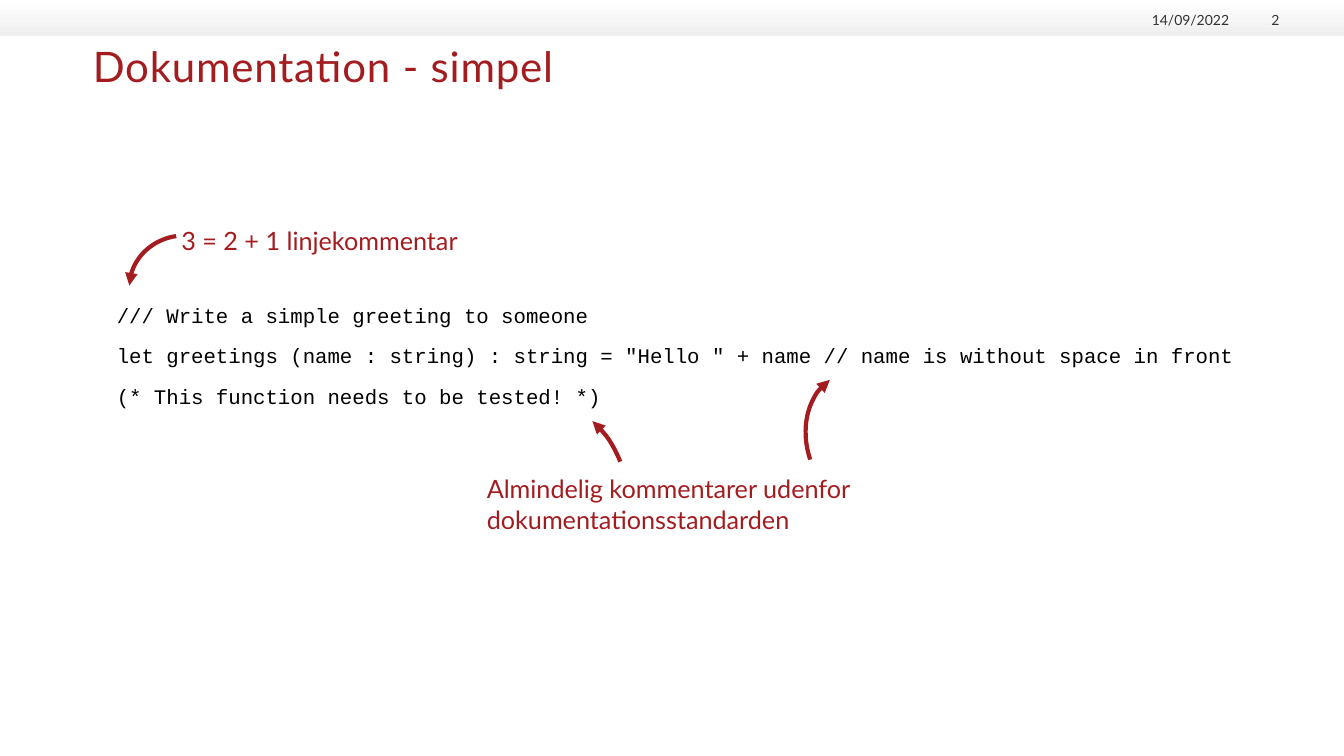
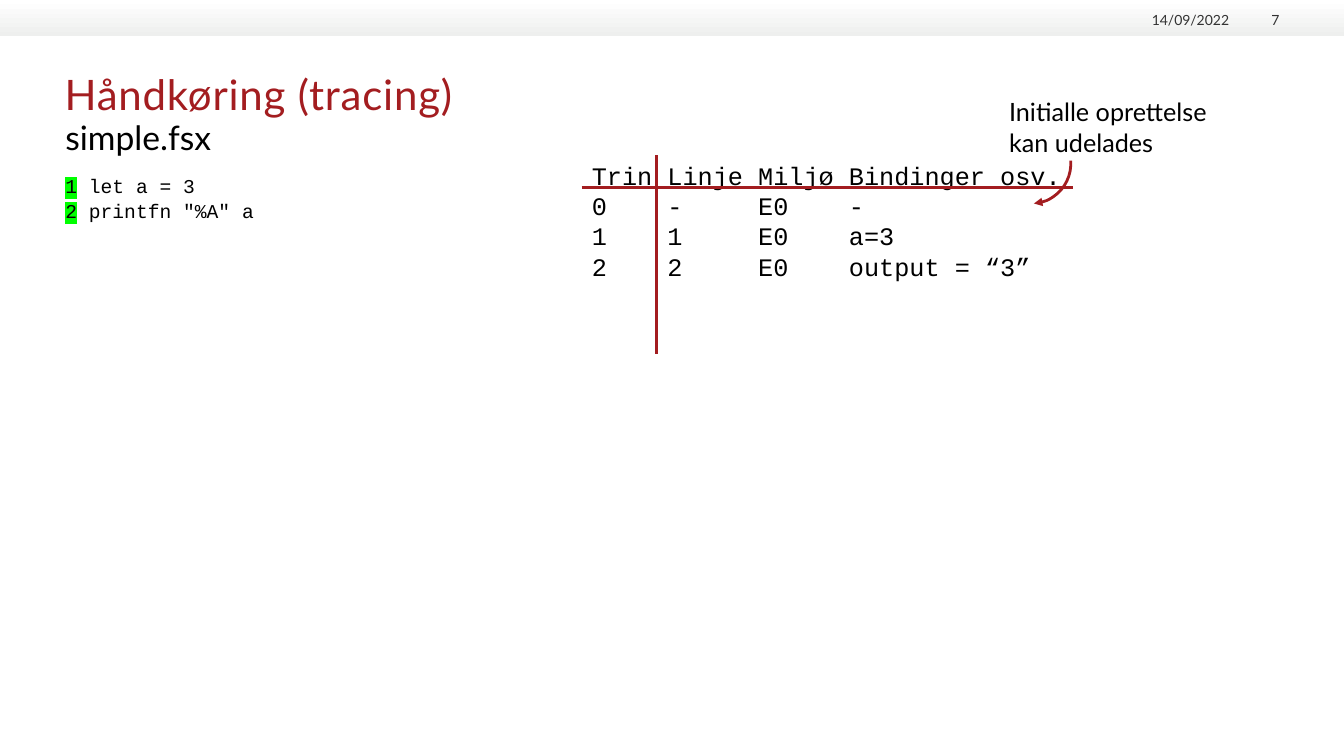
from lxml import etree
from pptx import Presentation
from pptx.dml.color import RGBColor
from pptx.enum.shapes import MSO_CONNECTOR, MSO_SHAPE
from pptx.enum.text import MSO_ANCHOR, MSO_AUTO_SIZE, PP_ALIGN
from pptx.oxml.ns import qn
from pptx.util import Inches, Pt

ARC, RECT = MSO_SHAPE.ARC, MSO_SHAPE.RECTANGLE
STRAIGHT = MSO_CONNECTOR.STRAIGHT
TOP, BOTTOM = MSO_ANCHOR.TOP, MSO_ANCHOR.BOTTOM
LEFT, RIGHT = PP_ALIGN.LEFT, PP_ALIGN.RIGHT
NO_AUTOFIT = MSO_AUTO_SIZE.NONE

RED = RGBColor(0xA3, 0x1D, 0x20)
BLACK = RGBColor(0, 0, 0)
WHITE = RGBColor(0xFF, 0xFF, 0xFF)
BAND_GREY = RGBColor(0xEE, 0xEF, 0xEE)
FOOTER_GREY = RGBColor(0x33, 0x33, 0x33)
HIGHLIGHT = "00FF00"
SANS, MONO = "Lato", "Courier New"
MONO_SPACING = 1.06
NO_TABLE_STYLE = "{2D5ABB26-0587-4C30-8999-92F81FD0307C}"
DATE = "14/09/2022"


def add_run(p, text, size, color=BLACK, font=SANS):
    """Append a formatted run to a paragraph."""
    r = p.add_run()
    r.text = text
    r.font.size = Pt(size)
    r.font.color.rgb = color
    r.font.name = font
    return r


def highlight(r):
    """Mark a run with the highlight colour."""
    mark = etree.Element(qn("a:highlight"))
    etree.SubElement(mark, qn("a:srgbClr"), val=HIGHLIGHT)
    r.font._element.find(qn("a:latin")).addprevious(mark)


def clear_margins(box):
    """Set the margins of a text frame or table cell to zero."""
    box.margin_left = box.margin_top = box.margin_right = box.margin_bottom = 0


def add_box(s, left, top, width, height):
    """Add an empty wrapping text box and return its text frame."""
    tf = s.shapes.add_textbox(Inches(left), Inches(top), Inches(width), Inches(height)).text_frame
    tf.word_wrap = True
    return tf


def add_label(s, left, top, width, height, text, size=18, color=RED):
    """Add a one-paragraph text box."""
    add_run(add_box(s, left, top, width, height).paragraphs[0], text, size, color)


def add_header_text(s, left, width, text):
    """Add a small right-aligned text in the top band."""
    tf = add_box(s, left, 0.09, width, 0.19)
    clear_margins(tf)
    tf.vertical_anchor = BOTTOM
    p = tf.paragraphs[0]
    p.alignment = RIGHT
    add_run(p, text, 10, FOOTER_GREY)


def add_code(s, left, top, width, height, lines, size, gap=0):
    """Add code lines, each a list of (text, highlighted) pairs."""
    tf = add_box(s, left, top, width, height)
    for i, line in enumerate(lines):
        p = tf.add_paragraph() if i else tf.paragraphs[0]
        p.line_spacing = MONO_SPACING
        if i:
            p.space_before = Pt(gap)
        for text, marked in line:
            r = add_run(p, text, size, font=MONO)
            if marked:
                highlight(r)


def add_arc(s, left, top, width, height, rotation, weight, adjustments=(), end="tailEnd", flip=False):
    """Add a curved arrow with its head at the given line end."""
    sp = s.shapes.add_shape(ARC, Inches(left), Inches(top), Inches(width), Inches(height))
    sp.shadow.inherit = False
    sp.fill.background()
    sp.line.color.rgb = RED
    sp.line.width = Pt(weight)
    sp.rotation = rotation
    for i, value in enumerate(adjustments):
        sp.adjustments[i] = value
    if flip:
        sp._element.spPr.get_or_add_xfrm().set("flipH", "1")
    etree.SubElement(sp.line._get_or_add_ln(), qn("a:" + end), type="triangle")


def add_rule(s, x1, y1, x2, y2):
    """Add a straight red line."""
    line = s.shapes.add_connector(STRAIGHT, Inches(x1), Inches(y1), Inches(x2), Inches(y2))
    line.line.color.rgb = RED
    line.line.width = Pt(2)
    etree.SubElement(line._element.spPr, qn("a:effectLst"))


def add_trace_table(s, left, top, widths, row_height, rows):
    """Add an unstyled monospaced table."""
    table = s.shapes.add_table(len(rows), len(widths), Inches(left), Inches(top),
                               Inches(sum(widths)), Inches(row_height * len(rows))).table
    table.first_row = table.horz_banding = False
    table._tbl.tblPr.find(qn("a:tableStyleId")).text = NO_TABLE_STYLE
    for column, width in zip(table.columns, widths):
        column.width = Inches(width)
    for i, row in enumerate(rows):
        table.rows[i].height = Inches(row_height)
        for j, text in enumerate(row):
            cell = table.cell(i, j)
            clear_margins(cell)
            cell.fill.background()
            add_run(cell.text_frame.paragraphs[0], text, 18, font=MONO)


def add_band(prs, s, layout):
    """Put the gradient top band on the layout."""
    band = s.shapes.add_shape(RECT, 0, 0, prs.slide_width, Inches(0.36))
    band.shadow.inherit = False
    band.line.fill.background()
    band.fill.gradient()
    band.fill.gradient_angle = 270
    for stop, color in zip(band.fill.gradient_stops, (WHITE, BAND_GREY)):
        stop.color.rgb = color
    layout.shapes._spTree.insert(2, band._element)


def add_slide(prs, layout, number, title, left, top, width, height):
    """Add a slide with its title, date and number."""
    s = prs.slides.add_slide(layout)
    sp = s.shapes.title
    sp.left, sp.top, sp.width, sp.height = map(Inches, (left, top, width, height))
    tf = sp.text_frame
    clear_margins(tf)
    tf.vertical_anchor = TOP
    tf.auto_size = NO_AUTOFIT
    p = tf.paragraphs[0]
    p.alignment = LEFT
    r = add_run(p, title, 30, RED)
    r.font._element.set("spc", "60")
    add_header_text(s, 11.3, 0.89, DATE)
    add_header_text(s, 12.27, 0.42, str(number))
    return s


def build_documentation(prs, layout):
    """Build the slide on simple documentation comments."""
    s = add_slide(prs, layout, 2, "Dokumentation - simpel", 0.92, 0.4, 11.5, 1.45)
    lines = ["/// Write a simple greeting to someone",
             'let greetings (name : string) : string = "Hello " + name // name is without space in front',
             "(* This function needs to be tested! *)"]
    add_code(s, 1.06, 2.94, 11.91, 1.19, [[(line, False)] for line in lines], 14.8, gap=10)
    add_arc(s, 1.32, 2.3, 0.97, 1.05, 254.1, 3, (102.52, 152.99), flip=True)
    add_label(s, 1.7, 2.19, 3.04, 0.4, "3 = 2 + 1 linjekommentar")
    add_label(s, 4.73, 4.65, 4.2, 0.7, "Almindelig kommentarer udenfor dokumentationsstandarden")
    add_arc(s, 7.88, 3.79, 1.53, 1.24, 62.2, 3, (3.02, 45.61), end="headEnd", flip=True)
    add_arc(s, 4.82, 4.16, 1.55, 1.14, 62.2, 3, (154.35, 183.14), flip=True)
    return s


def build_tracing(prs, layout):
    """Build the slide on tracing by hand."""
    s = add_slide(prs, layout, 7, "Håndkøring (tracing)", 0.64, 0.68, 12.04, 0.95)
    add_label(s, 0.55, 1.11, 3.15, 0.5, "simple.fsx", 24, BLACK)
    add_code(s, 0.55, 1.66, 4.55, 0.57,
             [[("1", True), (" let a = 3", False)],
              [("2", True), (' printfn "%A" a', False)]], 14)
    add_trace_table(s, 5.87, 1.63, (0.75, 0.9, 0.9, 2.4), 0.3,
                    [("Trin", "Linje", "Miljø", "Bindinger osv."),
                     ("0", "-", "E0", "-"),
                     ("1", "1", "E0", "a=3"),
                     ("2", "2", "E0", "output = “3”")])
    add_rule(s, 5.77, 1.86, 10.64, 1.86)
    add_rule(s, 6.51, 1.54, 6.51, 3.51)
    add_label(s, 9.91, 0.91, 2.48, 0.71, "Initialle oprettelse kan udelades", color=BLACK)
    add_arc(s, 9.83, 1.23, 0.79, 0.79, 85.6, 2)


def main():
    """Build and save the presentation."""
    prs = Presentation()
    prs.slide_width, prs.slide_height = Inches(13.33), Inches(7.5)
    layout = prs.slide_layouts[5]
    add_band(prs, build_documentation(prs, layout), layout)
    build_tracing(prs, layout)
    prs.save("out.pptx")


if __name__ == "__main__":
    main()
